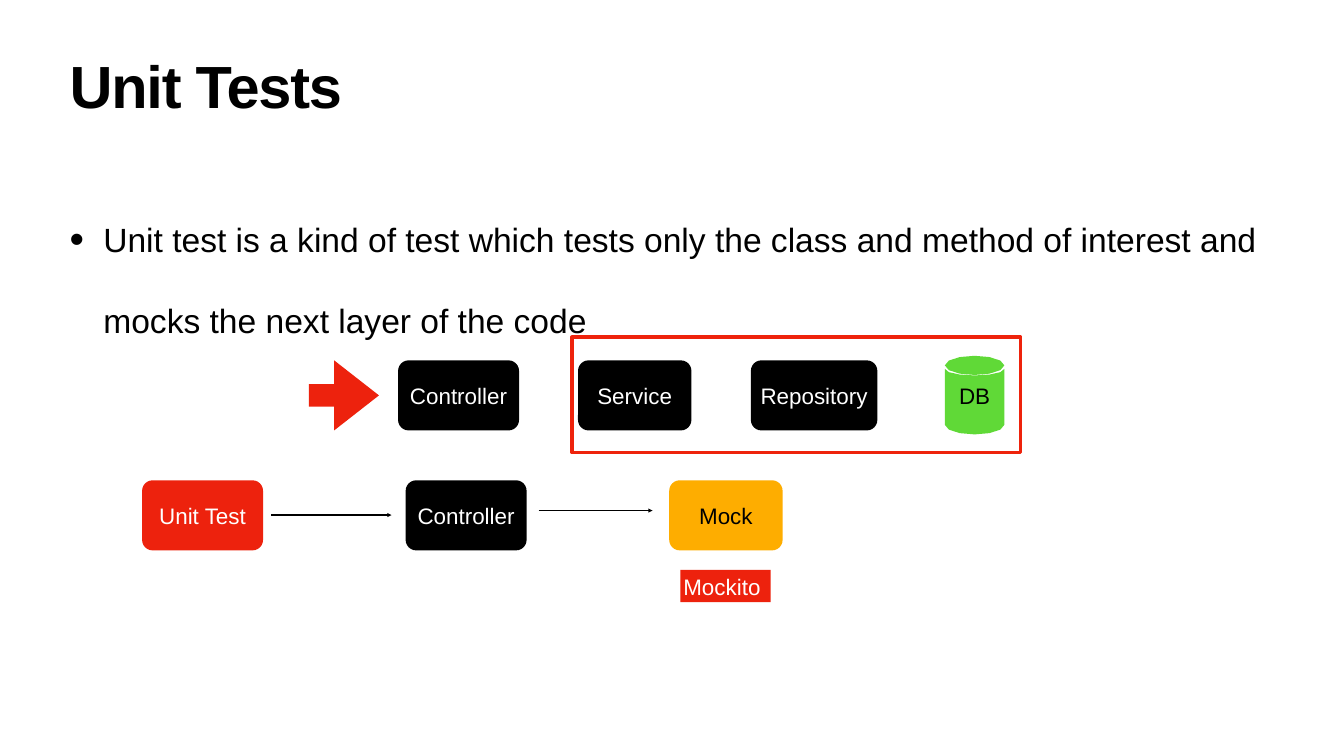
import math

from lxml import etree
from pptx import Presentation, util as u
from pptx.dml.color import RGBColor
from pptx.enum import shapes, text
from pptx.oxml.ns import qn

BLACK = RGBColor(0x00, 0x00, 0x00)
WHITE = RGBColor(0xFF, 0xFF, 0xFF)
RED = RGBColor(0xED, 0x22, 0x0D)
FRAME = RGBColor(0xEE, 0x23, 0x0C)
AMBER = RGBColor(0xFE, 0xAD, 0x00)
GREEN = RGBColor(0x60, 0xD9, 0x37)
FONT = "Arial"
HIGH = 1.39
TOP, LOW = 7.15, 9.53
KIND = shapes.MSO_SHAPE
ALIGN = text.PP_ALIGN
MID = text.MSO_ANCHOR.MIDDLE


def write(shape, words, size, color, align, anchor=MID):
    """Put one styled run in a shape and return its paragraph and run."""
    frame = shape.text_frame
    frame.word_wrap = True
    frame.auto_size = text.MSO_AUTO_SIZE.NONE
    frame.vertical_anchor = anchor
    for side in ("left", "right", "top", "bottom"):
        setattr(frame, "margin_" + side, u.Inches(0.06))
    para = frame.paragraphs[0]
    para.alignment = align
    run = para.add_run()
    run.text = words
    run.font.name = FONT
    run.font.size = u.Pt(size)
    run.font.color.rgb = color
    return para, run


def place(shape, left, top, width, height):
    """Move and size a placeholder."""
    shape.left, shape.top = u.Inches(left), u.Inches(top)
    shape.width, shape.height = u.Inches(width), u.Inches(height)


def add_title(slide, words):
    """Fill the title placeholder."""
    title = slide.shapes.title
    place(title, 1.32, 1.18, 24.03, 1.57)
    para, run = write(title, words, 85, BLACK, ALIGN.LEFT, text.MSO_ANCHOR.TOP)
    para.line_spacing = 0.8
    run.font.bold = True
    run.font._element.set("spc", "-170")


def add_body(slide, words):
    """Fill the body placeholder with one bulleted paragraph."""
    body = slide.placeholders[1]
    place(body, 1.32, 3.49, 24.03, 10.19)
    para, _ = write(body, words, 48, BLACK, ALIGN.LEFT, text.MSO_ANCHOR.TOP)
    props = para._p.get_or_add_pPr()
    props.set("marL", str(u.Inches(0.67)))
    props.set("indent", str(u.Inches(-0.67)))
    etree.SubElement(props, qn("a:buSzPct")).set("val", "123000")
    etree.SubElement(props, qn("a:buChar")).set("char", "•")
    para.line_spacing = 2.0
    para.space_before = u.Pt(0)


def add_shape(slide, kind, left, top, width, height, fill=None):
    """Draw a preset shape without outline."""
    shape = slide.shapes.add_shape(
        kind, *map(u.Inches, (left, top, width, height)))
    shape.shadow.inherit = False
    shape.line.fill.background()
    if fill is None:
        shape.fill.background()
    else:
        shape.fill.solid()
        shape.fill.fore_color.rgb = fill
    return shape


def add_box(slide, words, left, top, width, fill=BLACK, color=WHITE):
    """Draw a labelled rounded box."""
    box = add_shape(slide, KIND.ROUNDED_RECTANGLE, left, top, width, HIGH, fill)
    box.adjustments[0] = 0.15
    write(box, words, 32, color, ALIGN.CENTER)


def add_arrow(slide, start, end, y):
    """Draw a level line with an arrowhead at its end."""
    line = slide.shapes.add_connector(
        shapes.MSO_CONNECTOR.STRAIGHT, *map(u.Inches, (start, y, end, y)))
    line.line.color.rgb = BLACK
    line.line.width = u.Pt(2)
    etree.SubElement(line.line._get_or_add_ln(), qn("a:tailEnd")).set(
        "type", "triangle")
    etree.SubElement(line._element.spPr, qn("a:effectLst"))


def arc(mid, y, wide, high, first, last):
    """Return points along an ellipse between two angles in degrees."""
    step = 30 if last > first else -30
    turns = [math.radians(a) for a in range(first, last + step, step)]
    return [(u.Inches(mid + wide * math.cos(t)),
             u.Inches(y + high * math.sin(t))) for t in turns]


def add_drum(slide, words, mid):
    """Draw a labelled database drum from a lid and a body."""
    lid = arc(mid, 7.25, 0.59, 0.19, 0, 330)
    body = arc(mid, 8.43, 0.59, 0.19, 0, 180)
    body += arc(mid, 7.32, 0.59, 0.13, 180, 0)
    pen = slide.shapes.build_freeform(*lid[0])
    pen.add_line_segments(lid[1:])
    pen.move_to(*body[0])
    pen.add_line_segments(body[1:])
    drum = pen.convert_to_shape()
    drum.shadow.inherit = False
    drum.fill.solid()
    drum.fill.fore_color.rgb = GREEN
    drum.line.fill.background()
    write(drum, words, 32, BLACK, ALIGN.CENTER)


def add_tag(slide, words):
    """Draw the tag that names the mocking library."""
    tag = add_shape(slide, KIND.RECTANGLE, 13.5, 11.31, 1.79, 0.64, RED)
    write(tag, words, 32, WHITE, ALIGN.LEFT)
    tag.text_frame.word_wrap = False


def main():
    """Build the slide and save it."""
    deck = Presentation()
    deck.slide_width, deck.slide_height = u.Inches(26.67), u.Inches(15)
    slide = deck.slides.add_slide(deck.slide_layouts[1])
    add_title(slide, "Unit Tests")
    add_body(slide, "Unit test is a kind of test which tests only the class "
             "and method of interest and mocks the next layer of the code")

    add_box(slide, "Controller", 8.05, LOW, 2.4)
    add_box(slide, "Unit Test", 2.82, LOW, 2.4, RED)
    add_arrow(slide, 5.38, 7.77, 10.22)
    add_box(slide, "Mock", 13.28, LOW, 2.25, AMBER, BLACK)
    add_arrow(slide, 10.69, 12.95, 10.13)

    add_box(slide, "Controller", 7.9, TOP, 2.4)
    add_box(slide, "Service", 11.47, TOP, 2.25)
    add_box(slide, "Repository", 14.9, TOP, 2.51)
    add_drum(slide, "DB", 19.34)
    add_tag(slide, "Mockito")

    frame = add_shape(slide, KIND.RECTANGLE, 11.35, 6.69, 8.9, 2.29)
    frame.line.color.rgb = FRAME
    frame.line.width = u.Pt(5)
    entry = add_shape(slide, KIND.RIGHT_ARROW, 6.13, TOP, HIGH, HIGH, RED)
    entry.adjustments[0] = 0.32
    entry.adjustments[1] = 0.64
    deck.save("out.pptx")


if __name__ == "__main__":
    main()
